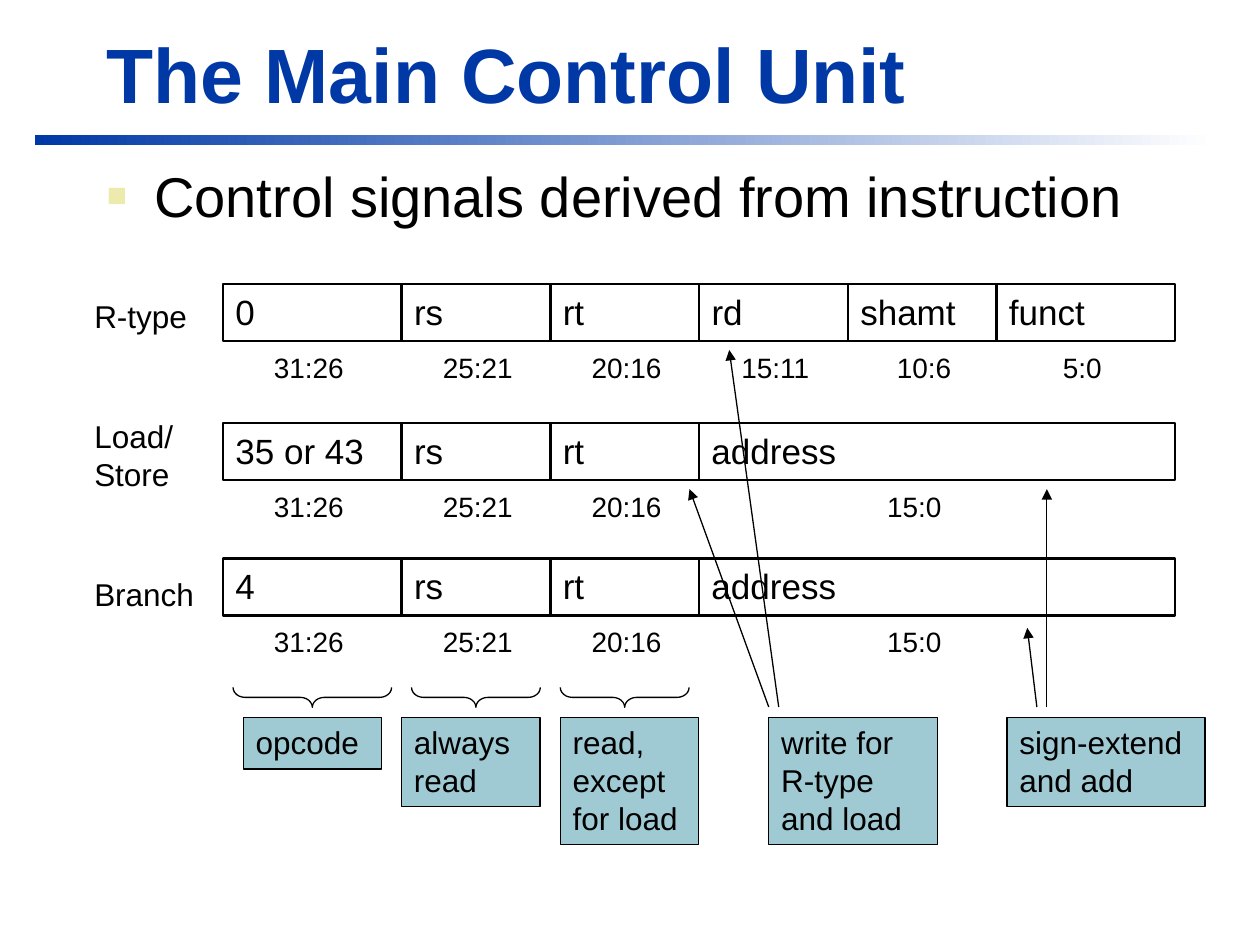
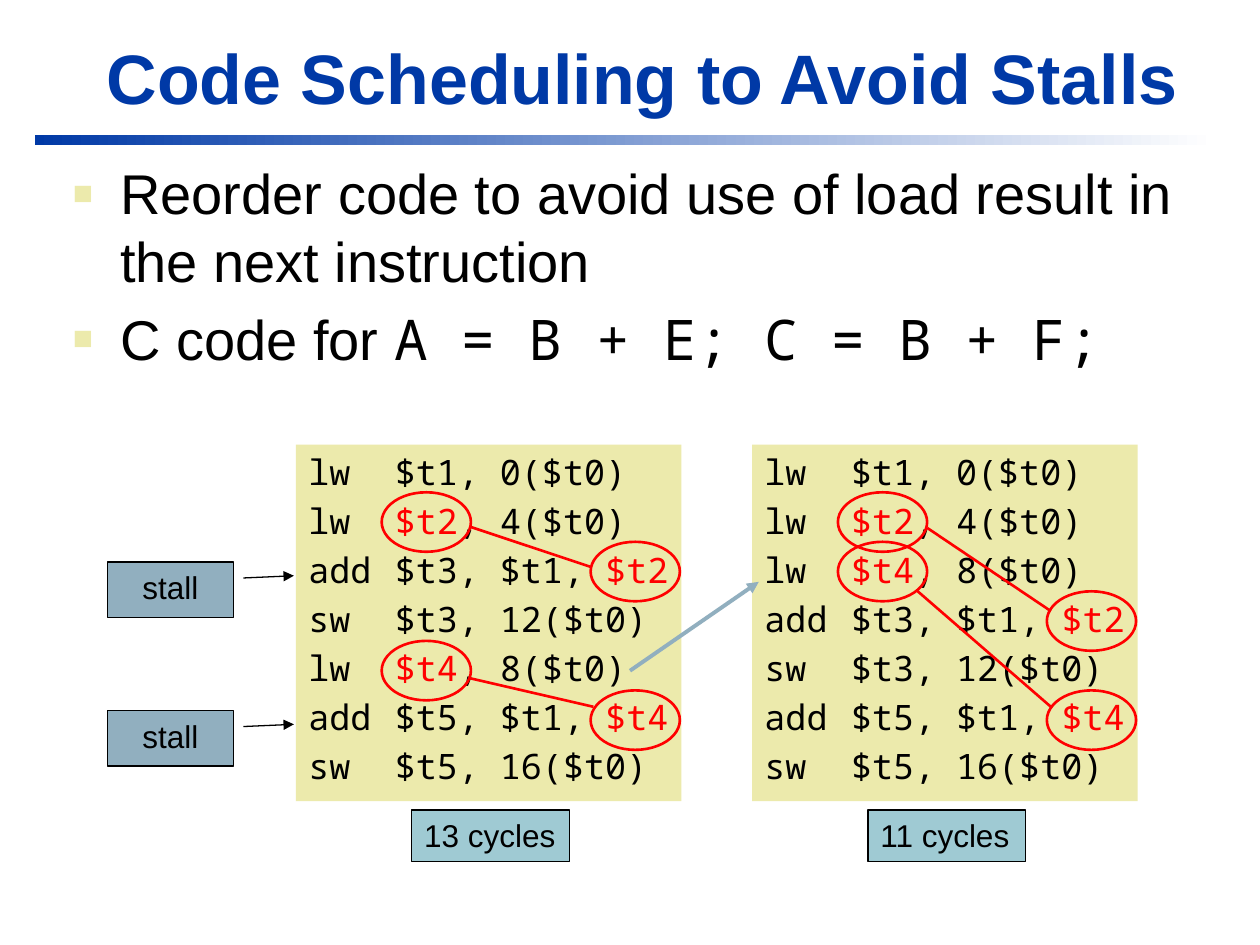
import pptx
import pptx.util
import pptx.dml.color
import pptx.enum.dml
import pptx.enum.shapes
import pptx.enum.text
import pptx.oxml
import pptx.oxml.ns

Pt = pptx.util.Pt
SHAPES = pptx.enum.shapes.MSO_SHAPE
ALIGN = pptx.enum.text.PP_ALIGN
ANCHOR = pptx.enum.text.MSO_ANCHOR

# Shared style
BLUE, BLACK, WHITE, RED = "0039A6", "000000", "FFFFFF", "FF0000"
SAND, TEAL, STEEL = "ECEAAC", "9FCAD3", "91AFBF"
SANS, MONO = "Arial", "Noto Sans Mono"

# Slide 1 content: fields are (text, high bit, low bit)
OPERANDS = [("rs", 25, 21), ("rt", 20, 16)]
ADDRESS = ("address", 15, 0)
FORMATS = [  # row top, label top, label lines, fields
    (162.3, 166.3, ["R-type"],
     [("0", 31, 26), *OPERANDS, ("rd", 15, 11), ("shamt", 10, 6), ("funct", 5, 0)]),
    (241.7, 234.7, ["Load/", "Store"], [("35 or 43", 31, 26), *OPERANDS, ADDRESS]),
    (319.2, 325.2, ["Branch"], [("4", 31, 26), *OPERANDS, ADDRESS]),
]
BRACED_FIELDS = [(31, 26), *[field[1:] for field in OPERANDS]]
NOTES = [  # text, left, width, lines
    ("opcode", 139, 79.2, 1),
    ("always read", 229.5, 79.2, 2),
    ("read, except for load", 320.2, 79.2, 3),
    ("write for R-type and load", 439.3, 96.5, 3),
    ("sign-extend and add", 575.4, 113.2, 2),
]
NOTE_ARROWS = [
    (439.3, 404, 394, 279.5), (445, 404, 416.7, 200),
    (592.5, 404, 587, 358.8), (598.2, 404, 598.2, 279.5),
]

# Slide 2 content
FIRST_LOADS = [("lw", "$t1, 0($t0)"), ("lw", "$t2, 4($t0)")]
LOAD_T4 = ("lw", "$t4, 8($t0)")
ADD_STORE_T3 = [("add", "$t3, $t1, $t2"), ("sw", "$t3, 12($t0)")]
ADD_STORE_T5 = [("add", "$t5, $t1, $t4"), ("sw", "$t5, 16($t0)")]
PANELS = [  # left, caption, code, dependences (register, load row, use row)
    (169.1, "13 cycles", [*FIRST_LOADS, *ADD_STORE_T3, LOAD_T4, *ADD_STORE_T5],
     [("$t2", 1, 2), ("$t4", 4, 5)]),
    (429.8, "11 cycles", [*FIRST_LOADS, LOAD_T4, *ADD_STORE_T3, *ADD_STORE_T5],
     [("$t2", 1, 3), ("$t4", 2, 5)]),
]
DEPENDENCE_LINES = [
    (268.6, 301, 337.7, 324), (267.8, 387.4, 339.1, 403.9),
    (529.9, 301.7, 600.5, 349.2), (524.2, 337.7, 600.5, 403.9),
]
STALL_TOPS = [321.1, 406]


def color(value):
    return pptx.dml.color.RGBColor.from_string(value)


def add_element(parent, tag, **attributes):
    element = pptx.oxml.parse_xml(f"<a:{tag} {pptx.oxml.ns.nsdecls('a')}/>")
    for name, value in attributes.items():
        element.set(name, value)
    parent.append(element)
    return element


def add_bullet(paragraph):
    properties = paragraph._p.get_or_add_pPr()
    properties.set("marL", str(Pt(27)))
    properties.set("indent", str(-Pt(27)))
    add_element(add_element(properties, "buClr"), "srgbClr", val=SAND)
    add_element(properties, "buSzPct", val="60000")
    add_element(properties, "buFont", typeface=SANS)
    add_element(properties, "buChar", char="■")


def add_tab_stop(paragraph):
    tabs = add_element(paragraph._p.get_or_add_pPr(), "tabLst")
    add_element(tabs, "tab", pos=str(Pt(49.5)), algn="l")


def write(shape, paragraphs, size, font=SANS, ink=BLACK, bold=False, align=ALIGN.LEFT,
          anchor=ANCHOR.TOP, wrap=True, gap=0, decorate=None):
    """Fill a shape; a paragraph is a string or a list of (text, font, colour) runs."""
    frame = shape.text_frame
    frame.word_wrap = wrap
    frame.vertical_anchor = anchor
    for index, content in enumerate(paragraphs):
        paragraph = frame.add_paragraph() if index else frame.paragraphs[0]
        if decorate:
            decorate(paragraph)
        paragraph.alignment = align
        paragraph.space_before = Pt(gap if index else 0)
        paragraph.font.size = Pt(size)
        paragraph.font.bold = bold
        paragraph.font.name = font
        paragraph.font.color.rgb = color(ink)
        runs = [(content, None, None)] if isinstance(content, str) else content
        for text, run_font, run_ink in runs:
            run = paragraph.add_run()
            run.text = text
            if run_font:
                run.font.name = run_font
            if run_ink:
                run.font.color.rgb = color(run_ink)


def add_box(slide, left, top, width, height, fill=None, line=None, weight=0.75,
            kind=SHAPES.RECTANGLE):
    shape = slide.shapes.add_shape(kind, Pt(left), Pt(top), Pt(width), Pt(height))
    shape.shadow.inherit = False
    if fill:
        shape.fill.solid()
        shape.fill.fore_color.rgb = color(fill)
    else:
        shape.fill.background()
    if line:
        shape.line.color.rgb = color(line)
        shape.line.width = Pt(weight)
    else:
        shape.line.fill.background()
    return shape


def add_text(slide, left, top, width, height, paragraphs, size, **style):
    box = slide.shapes.add_textbox(Pt(left), Pt(top), Pt(width), Pt(height))
    write(box, paragraphs, size, **style)


def add_arrowhead(shape):
    add_element(shape.line._get_or_add_ln(), "tailEnd", type="triangle")


def add_line(slide, ends, ink=BLACK, weight=0.75, arrow=True):
    line = slide.shapes.add_connector(
        pptx.enum.shapes.MSO_CONNECTOR.STRAIGHT, *[Pt(value) for value in ends])
    line.line.color.rgb = color(ink)
    line.line.width = Pt(weight)
    if arrow:
        add_arrowhead(line)
    add_element(line._element.spPr, "effectLst")


def add_titled_slide(presentation, title, size):
    slide = presentation.slides.add_slide(presentation.slide_layouts[5])
    # Fading band under the title
    band = add_box(slide, 19.8, 77.2, 674.6, 5.8, BLUE)
    band.fill.gradient()
    band.fill.gradient_angle = 0
    for stop, position, shade in zip(band.fill.gradient_stops, (0, 1), (BLUE, WHITE)):
        stop.position = position
        stop.color.rgb = color(shade)
    heading = slide.shapes.title
    heading.left, heading.top, heading.width, heading.height = (
        Pt(53.8), Pt(11.5), Pt(650), Pt(59.8))
    write(heading, [title], size, ink=BLUE, bold=True, anchor=ANCHOR.BOTTOM)
    return slide


def add_body(slide, left, top, height, paragraphs):
    add_text(slide, left, top, 651.6, height, paragraphs, 32, gap=6.4, decorate=add_bullet)


def field_span(high, low):
    """Left edge and width of a field in a 32-bit word, 17 points to the bit."""
    return 127.5 + (31 - high) * 17, (high - low + 1) * 17


def build_control_unit(presentation):
    slide = add_titled_slide(presentation, "The Main Control Unit", 44)
    add_body(slide, 54, 88.6, 54.7, ["Control signals derived from instruction"])

    # Instruction formats
    for top, label_top, label, fields in FORMATS:
        add_text(slide, 46.8, label_top, 80, 21.6 * len(label) + 7.2, label, 18)
        for text, high, low in fields:
            left, width = field_span(high, low)
            cell = add_box(slide, left, top, width, 32.6, line=BLACK, weight=1.5)
            write(cell, [text], 20)
            # Labels of the narrow fields sit right of centre, of the wide ones left
            shift = 1 if width == 85 else -2 if width == 102 else 4
            if text == "address":
                shift = -17 + shift
            add_text(slide, left + shift, top + 34.3, width, 26.6, [f"{high}:{low}"], 16,
                     align=ALIGN.CENTER)

    # Braces: drawn upright, then turned to point down
    for high, low in BRACED_FIELDS:
        left, width = field_span(high, low)
        depth, length = 11.4, width - 11.4
        brace = add_box(slide, left + (width - depth) / 2, 398.5 - length / 2,
                        depth, length, line=BLACK, kind=SHAPES.LEFT_BRACE)
        brace.adjustments[0] = 0.6
        brace.rotation = 270

    # Notes and their arrows
    for text, left, width, lines in NOTES:
        write(add_box(slide, left, 409.9, width, 8 + 21.6 * lines, TEAL, BLACK), [text], 18)
    for ends in NOTE_ARROWS:
        add_line(slide, ends)


def code_runs(operation, operands, register):
    if not register:
        return f"{operation}\t{operands}"
    before, marked, after = operands.partition(register)
    runs = [(f"{operation}\t{before}", None, None), (marked, None, RED)]
    return runs + [(after, None, None)] if after else runs


def build_code_scheduling(presentation):
    slide = add_titled_slide(presentation, "Code Scheduling to Avoid Stalls", 40)
    add_body(slide, 34.6, 87.3, 145.4, [
        "Reorder code to avoid use of load result in the next instruction",
        [("C code for ", None, None), ("A = B + E; C = B + F;", MONO, None)],
    ])

    # Code panels with captions
    for left, caption, code, dependences in PANELS:
        marked = {row: register for register, *rows in dependences for row in rows}
        panel = add_box(slide, left, 254.1, 220.3, 203.7, SAND)
        write(panel, [code_runs(*line, marked.get(row)) for row, line in enumerate(code)],
              20, font=MONO, wrap=False, gap=4, decorate=add_tab_stop)
        write(add_box(slide, left + 66.2, 462.8, 90.2, 29.6, TEAL, BLACK), [caption], 18,
              wrap=False)

    # Stall callouts
    for top in STALL_TOPS:
        callout = add_box(slide, 61.4, top, 72, 31.7, STEEL, BLACK,
                          kind=SHAPES.LINE_CALLOUT_1)
        for index, value in enumerate((0.29, 1.08, 0.25, 1.48)):
            callout.adjustments[index] = value
        add_arrowhead(callout)
        write(callout, ["stall"], 18, align=ALIGN.CENTER)

    # Moved load, then circles and lines for the dependences
    add_line(slide, (360, 383.3, 433.6, 332.5), STEEL, 2.25)
    for left, _, _, dependences in PANELS:
        for _, load_row, use_row in dependences:
            for offset, row in ((49, load_row), (168.4, use_row)):
                add_box(slide, left + offset, 253 + 28.3 * row, 51, 34, line=RED,
                        weight=1.5, kind=SHAPES.OVAL)
    for ends in DEPENDENCE_LINES:
        add_line(slide, ends, RED, 1.5, arrow=False)


def main():
    presentation = pptx.Presentation()
    presentation.slide_width, presentation.slide_height = Pt(720), Pt(540)
    build_control_unit(presentation)
    build_code_scheduling(presentation)
    presentation.save("out.pptx")


if __name__ == "__main__":
    main()
